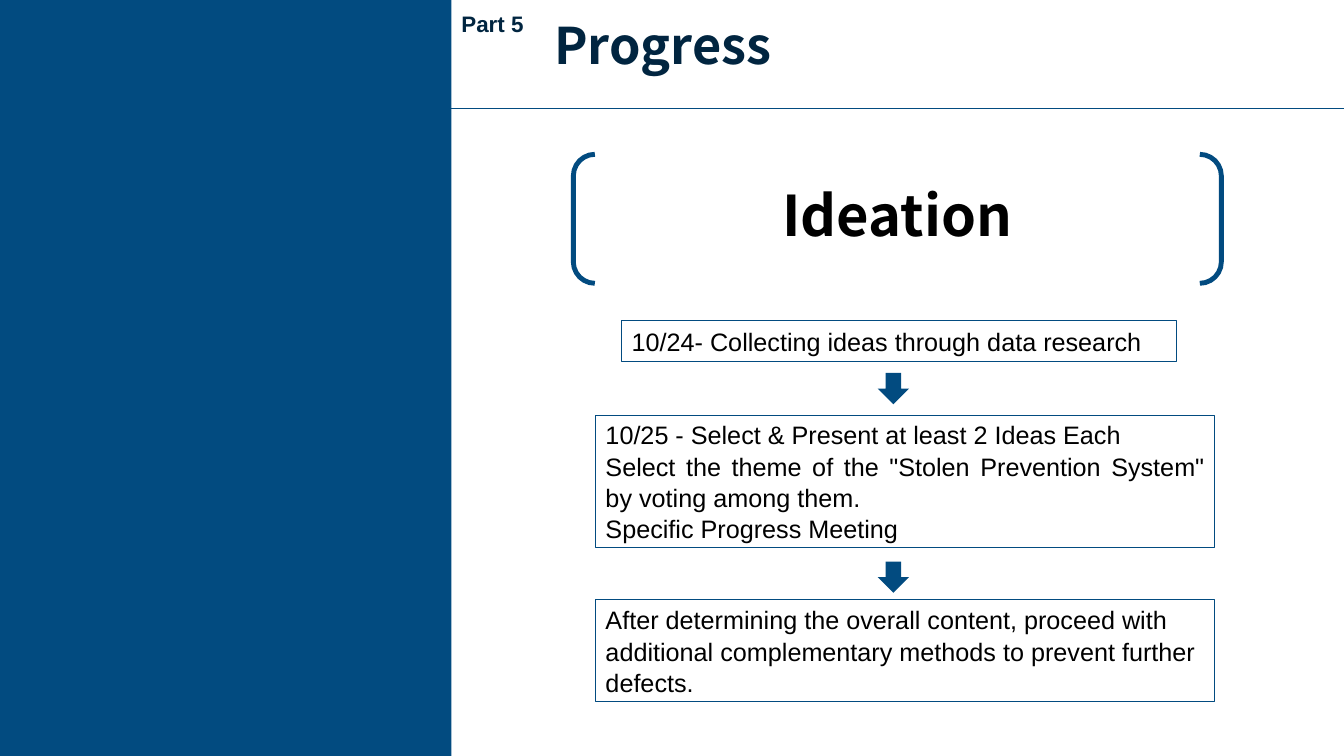
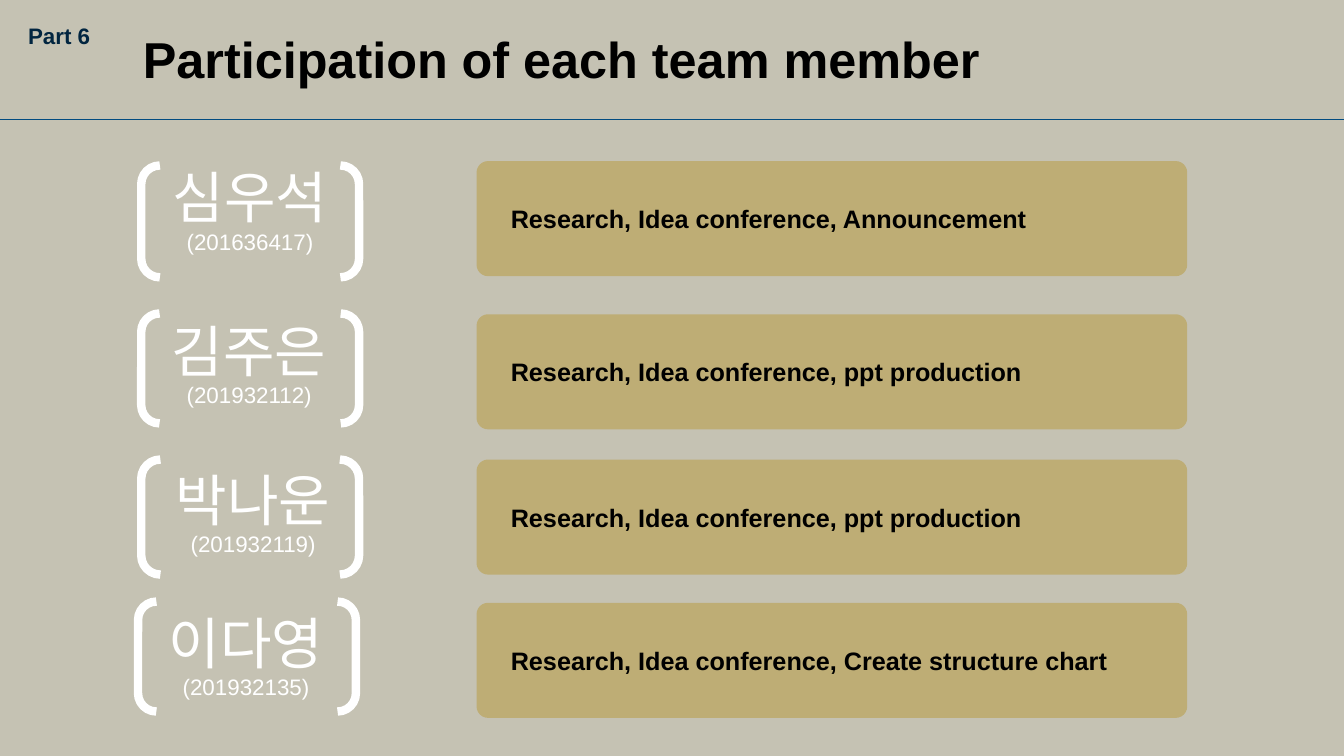
from dataclasses import dataclass

from lxml import etree
from pptx import Presentation
from pptx.dml.color import RGBColor
from pptx.enum.shapes import MSO_CONNECTOR, MSO_SHAPE
from pptx.enum.text import MSO_ANCHOR as ANCHOR, MSO_AUTO_SIZE, PP_ALIGN as ALIGN
from pptx.oxml.ns import qn
from pptx.util import Cm, Pt


@dataclass(frozen=True)
class Theme:
    blue: str = "024B80"
    navy: str = "012540"
    black: str = "000000"
    white: str = "FFFFFF"
    stone: str = "C5C2B3"
    gold: str = "BEAD75"
    sans: str = "Arial"
    korean: str = "Noto Sans CJK KR"
    display: int = 40
    title: int = 36
    body: int = 18
    label: int = 16


T = Theme()


def write(sp, lines, anchor=ANCHOR.TOP, align=ALIGN.LEFT, spacing=1.0):
    """Fill a shape with (text, font name, size, colour, bold) lines."""
    tf = sp.text_frame
    frame = {"word_wrap": True, "auto_size": MSO_AUTO_SIZE.NONE, "vertical_anchor": anchor,
             "margin_left": Cm(0.25), "margin_right": Cm(0.25),
             "margin_top": Cm(0.13), "margin_bottom": Cm(0.13)}
    for name, value in frame.items():
        setattr(tf, name, value)
    for i, (text, face, size, color, bold) in enumerate(lines):
        p = tf.add_paragraph() if i else tf.paragraphs[0]
        p.alignment, p.line_spacing = align, spacing
        r = p.add_run()
        r.text = text
        for name, value in {"name": face, "size": Pt(size), "bold": bold}.items():
            setattr(r.font, name, value)
        r.font.color.rgb = RGBColor.from_string(color)
        ea = etree.SubElement(r.font._element, qn("a:ea"))
        ea.set("typeface", face)


def add_shape(s, kind, box, fill=None, line=None, width=0.75):
    """Add a flat preset shape; box is left, top, width, height in cm."""
    sp = s.shapes.add_shape(kind, *map(Cm, box))
    sp.shadow.inherit = False
    if fill:
        sp.fill.solid()
        sp.fill.fore_color.rgb = RGBColor.from_string(fill)
    else:
        sp.fill.background()
    if line:
        sp.line.color.rgb = RGBColor.from_string(line)
        sp.line.width = Pt(width)
    else:
        sp.line.fill.background()
    return sp


prs = Presentation()
prs.slide_width, prs.slide_height = Cm(33.87), Cm(19.05)

# Shared header: background, part label, title and rule
headers = [
    # background, part, label left and top, title, face, colour, spacing, title box, rule top
    (T.white, "Part 5", (11.38, 0.13), "Progress", T.korean, T.navy, 0.9,
     (13.72, 0.41, 12.55, 1.8), 2.72),
    (T.stone, "Part 6", (0.46, 0.43), "Participation of each team member", T.sans, T.black, 1.1,
     (3.35, 0.43, 25.22, 1.8), 3.0),
]
slides = []
for back, part, corner, title, face, color, spacing, box, rule_top in headers:
    s = prs.slides.add_slide(prs.slide_layouts[5])
    s.background.fill.solid()
    s.background.fill.fore_color.rgb = RGBColor.from_string(back)

    for name, value in zip(("left", "top", "width", "height"), box):
        setattr(s.shapes.title, name, Cm(value))
    write(s.shapes.title, [(title, face, T.title, color, True)], spacing=spacing)

    label = s.shapes.add_textbox(*map(Cm, (*corner, 2.34, 0.94)))
    write(label, [(part, T.sans, T.label, T.navy, True)])

    rule = s.shapes.add_connector(MSO_CONNECTOR.STRAIGHT, 0, Cm(rule_top),
                                  prs.slide_width, Cm(rule_top))
    rule.line.color.rgb = RGBColor.from_string(T.blue)
    rule.line.width = Pt(0.5)
    etree.SubElement(rule._element.spPr, qn("a:effectLst"))
    slides.append(s)

progress, members = slides

# Progress: side panel and bracketed heading
add_shape(progress, MSO_SHAPE.RECTANGLE, (0, 0, 11.38, 19.05), fill=T.blue)
heading = add_shape(progress, MSO_SHAPE.DOUBLE_BRACKET, (14.45, 3.89, 16.33, 3.25),
                    line=T.blue, width=3.5)
write(heading, [("Ideation", T.korean, T.display, T.black, True)],
      ANCHOR.MIDDLE, ALIGN.CENTER, 0.9)

# Progress: steps and the arrows between them
steps = [
    ((15.67, 8.08, 13.97, 1.02), ALIGN.LEFT,
     ["10/24- Collecting ideas through data research"]),
    ((15.01, 10.46, 15.6, 3.33), ALIGN.JUSTIFY,
     ["10/25 - Select & Present at least 2 Ideas Each",
      'Select the theme of the "Stolen Prevention System" by voting among them.',
      "Specific Progress Meeting"]),
    ((15.01, 15.11, 15.6, 2.57), ALIGN.LEFT,
     ["After determining the overall content, proceed with additional "
      "complementary methods to prevent further defects."]),
]
for box, align, lines in steps:
    step = add_shape(progress, MSO_SHAPE.RECTANGLE, box, line=T.blue)
    write(step, [(text, T.sans, T.body, T.black, False) for text in lines],
          ANCHOR.MIDDLE, align, 1.04)
for top in (9.4, 14.15):
    add_shape(progress, MSO_SHAPE.DOWN_ARROW, (22.12, top, 0.79, 0.79), fill=T.blue)

# Members: bracketed name and number, with a bar for the tasks
rows = [
    # name, number, tasks, bracket left/top/height, name left/top, bar top
    ("심우석", "(201636417)", "Announcement", (3.56, 4.17, 2.82), (3.91, 4.17), 4.06),
    ("김주은", "(201932112)", "ppt production", (3.56, 7.9, 2.77), (3.89, 8.03), 7.92),
    ("박나운", "(201932119)", "ppt production", (3.56, 11.58, 2.9), (3.99, 11.79), 11.58),
    ("이다영", "(201932135)", "Create structure chart", (3.48, 15.16, 2.77), (3.81, 15.39), 15.19),
]
for name, number, task, (left, top, height), corner, bar_top in rows:
    add_shape(members, MSO_SHAPE.DOUBLE_BRACKET, (left, top, 5.49, height),
              line=T.white, width=6)
    member = members.shapes.add_textbox(*map(Cm, (*corner, 4.78, 2.64)))
    write(member, [(name, T.korean, T.display, T.white, False),
                   (number, T.sans, T.label, T.white, False)],
          align=ALIGN.CENTER, spacing=0.9)

    bar = add_shape(members, MSO_SHAPE.ROUNDED_RECTANGLE, (12.01, bar_top, 17.91, 2.9),
                    fill=T.gold)
    bar.adjustments[0] = 0.1
    write(bar, [(f"Research, Idea conference, {task}", T.sans, T.body, T.black, True)],
          ANCHOR.MIDDLE)
    bar.text_frame.margin_left = Cm(0.78)

prs.save("out.pptx")
